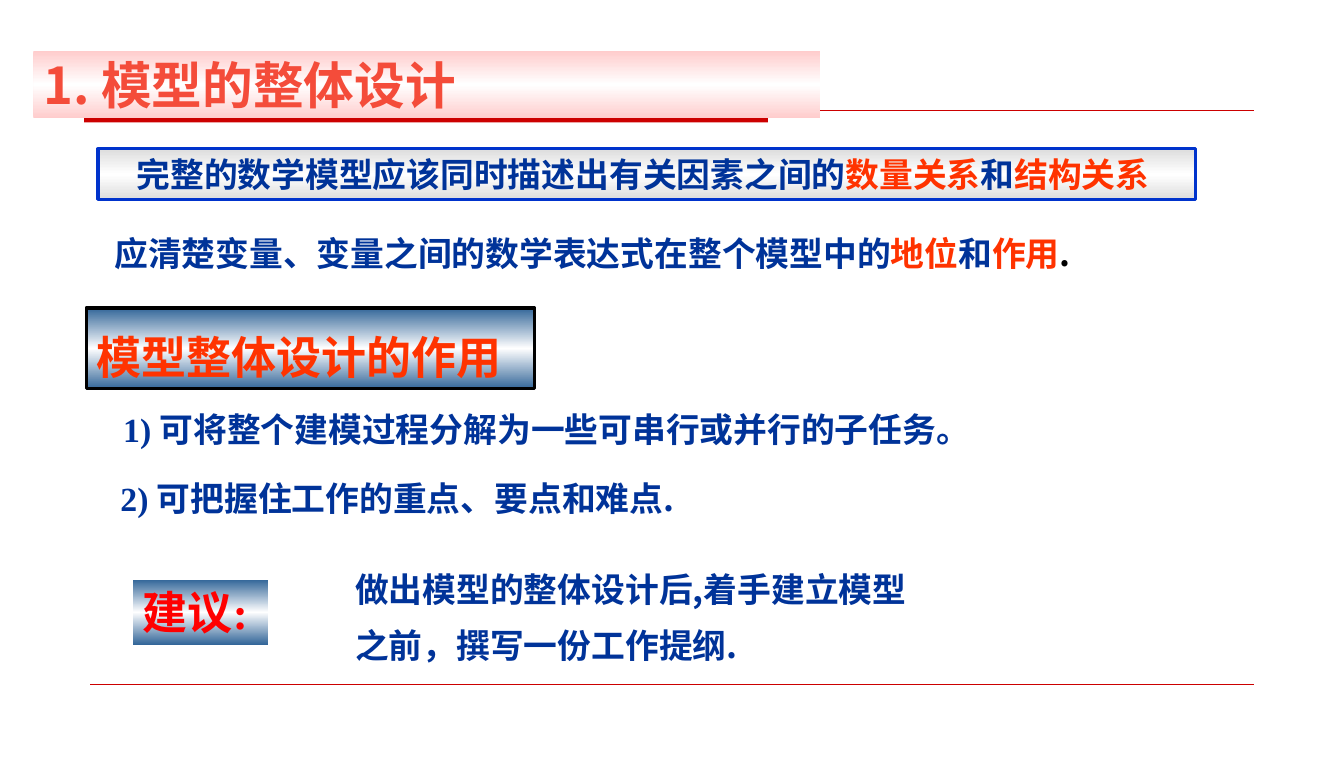
from copy import deepcopy
from dataclasses import dataclass

from lxml import etree
from pptx import Presentation
from pptx import util as u
from pptx.dml.color import RGBColor
from pptx.enum import shapes, text
from pptx.oxml import ns

SERIF, SANS = "Times New Roman", "Noto Sans CJK SC"
BLUE, ORANGE, RED, BLACK = "003399", "FF3300", "CC0000", "000000"
STEEL, PINK, GREY = "336699", "FFCCCC", "DDDDDD"


@dataclass
class Run:
    text: str
    colour: str = ""
    face: str = ""


@dataclass
class Box:
    left: float
    top: float
    width: float
    height: float
    lines: list[list[Run]]
    size: int = 24
    face: str = SANS
    colour: str = BLUE
    band: str = ""
    border: str = ""
    spacing: tuple[float, ...] = (1.0,)
    inset: float = 0.25
    wrap: bool = True
    align: text.PP_ALIGN = text.PP_ALIGN.LEFT


TITLE = Box(0.84, 1.27, 19.74, 1.7, [[Run("1. 模型的整体设计")]],
            size=36, colour="F44C3A", band=PINK)

BOXES = [
    Box(2.46, 3.73, 27.53, 1.27,
        [[Run("完整的数学模型应该同时描述出有关因素之间的"), Run("数量关系", ORANGE),
          Run("和"), Run("结构关系 ", ORANGE)]],
        face=SERIF, band=GREY, border="0033CC", align=text.PP_ALIGN.CENTER),
    Box(1.85, 5.72, 29.39, 1.63,
        [[Run("应清楚变量、变量之间的数学表达式在整个模型中的"), Run("地位", ORANGE),
          Run("和"), Run("作用", ORANGE), Run(".", BLACK)]], inset=1.02),
    Box(2.16, 7.72, 11.25, 2.03, [[Run("模型整体设计的作用")]],
        size=32, face=SERIF, colour=ORANGE, band=STEEL, border=BLACK, spacing=(1.3,)),
    Box(2.84, 10.13, 25.32, 1.63,
        [[Run("1) ", face=SERIF), Run("可将整个建模过程分解为一些可串行或并行的子任务。")]]),
    Box(2.77, 11.86, 15.32, 1.63,
        [[Run("2) ", face=SERIF), Run("可把握住工作的重点、要点和难点.")]]),
    Box(8.66, 14.12, 14.96, 2.69,
        [[Run("做出模型的整体设计后,着手建立模型")], [Run("之前，撰写一份工作提纲.")]],
        spacing=(1.0, 1.4)),
    Box(3.33, 14.53, 3.4, 1.63, [[Run("建议:")]],
        size=32, face=SERIF, colour="FF0000", band=STEEL, wrap=False),
]


def rgb(colour: str) -> RGBColor:
    return RGBColor.from_string(colour)


def fill_band(shape, edge: str) -> None:
    """Vertical gradient: edge colour, white, edge colour."""
    shape.fill.gradient()
    shape.fill.gradient_angle = 90
    stops = shape._element.spPr.find(".//" + ns.qn("a:gsLst"))
    stops.append(deepcopy(stops[0]))
    for stop, position, colour in zip(shape.fill.gradient_stops, (0, 0.5, 1),
                                      (edge, "FFFFFF", edge)):
        stop.position = position
        stop.color.rgb = rgb(colour)


def write_text(frame, box: Box) -> None:
    frame.word_wrap = box.wrap
    frame.auto_size = text.MSO_AUTO_SIZE.NONE
    frame.margin_left = u.Cm(box.inset)
    for index, (line, spacing) in enumerate(zip(box.lines, box.spacing)):
        paragraph = frame.add_paragraph() if index else frame.paragraphs[0]
        paragraph.alignment = box.align
        paragraph.line_spacing = spacing
        font = paragraph.font
        font.size, font.bold, font.name = u.Pt(box.size), True, box.face
        font.color.rgb = rgb(box.colour)
        etree.SubElement(font._element, ns.qn("a:ea"), typeface=SANS)
        for item in line:
            run = paragraph.add_run()
            run.text = item.text
            if item.colour:
                run.font.color.rgb = rgb(item.colour)
            if item.face:
                run.font.name = item.face


def add_box(slide, box: Box) -> None:
    place = [u.Cm(value) for value in (box.left, box.top, box.width, box.height)]
    if box.band:
        shape = slide.shapes.add_shape(shapes.MSO_SHAPE.RECTANGLE, *place)
        shape.shadow.inherit = False
        fill_band(shape, box.band)
        if box.border:
            shape.line.color.rgb = rgb(box.border)
            shape.line.width = u.Pt(2.25)
        else:
            shape.line.fill.background()
    else:
        shape = slide.shapes.add_textbox(*place)
    shape.text_frame.vertical_anchor = text.MSO_ANCHOR.TOP
    write_text(shape.text_frame, box)


def add_rule(slide, left: float, right: float, top: float, weight: float) -> None:
    line = slide.shapes.add_connector(shapes.MSO_CONNECTOR.STRAIGHT,
                                      u.Cm(left), u.Cm(top), u.Cm(right), u.Cm(top))
    line.line.color.rgb = rgb(RED)
    line.line.width = u.Pt(weight)
    etree.SubElement(line._element.spPr, ns.qn("a:effectLst"))


def place_title(slide, box: Box) -> None:
    title = slide.shapes.title
    title.left, title.top = u.Cm(box.left), u.Cm(box.top)
    title.width, title.height = u.Cm(box.width), u.Cm(box.height)
    fill_band(title, box.band)
    title.text_frame.vertical_anchor = text.MSO_ANCHOR.MIDDLE
    write_text(title.text_frame, box)
    # Bring the title in front of the red rules
    slide.shapes._spTree.append(title._element)


def main() -> None:
    presentation = Presentation()
    presentation.slide_width, presentation.slide_height = u.Cm(33.71), u.Cm(19.05)
    slide = presentation.slides.add_slide(presentation.slide_layouts[5])

    # Red bar and rules
    bar = slide.shapes.add_shape(shapes.MSO_SHAPE.RECTANGLE,
                                 u.Cm(2.11), u.Cm(2.77), u.Cm(17.15), u.Cm(0.3))
    bar.shadow.inherit = False
    bar.fill.solid()
    bar.fill.fore_color.rgb = rgb(RED)
    bar.line.fill.background()
    add_rule(slide, 2.11, 31.45, 2.77, 0.75)
    add_rule(slide, 2.26, 31.45, 17.15, 0.25)

    # Title and body
    place_title(slide, TITLE)
    for box in BOXES:
        add_box(slide, box)
    presentation.save("out.pptx")


if __name__ == "__main__":
    main()
